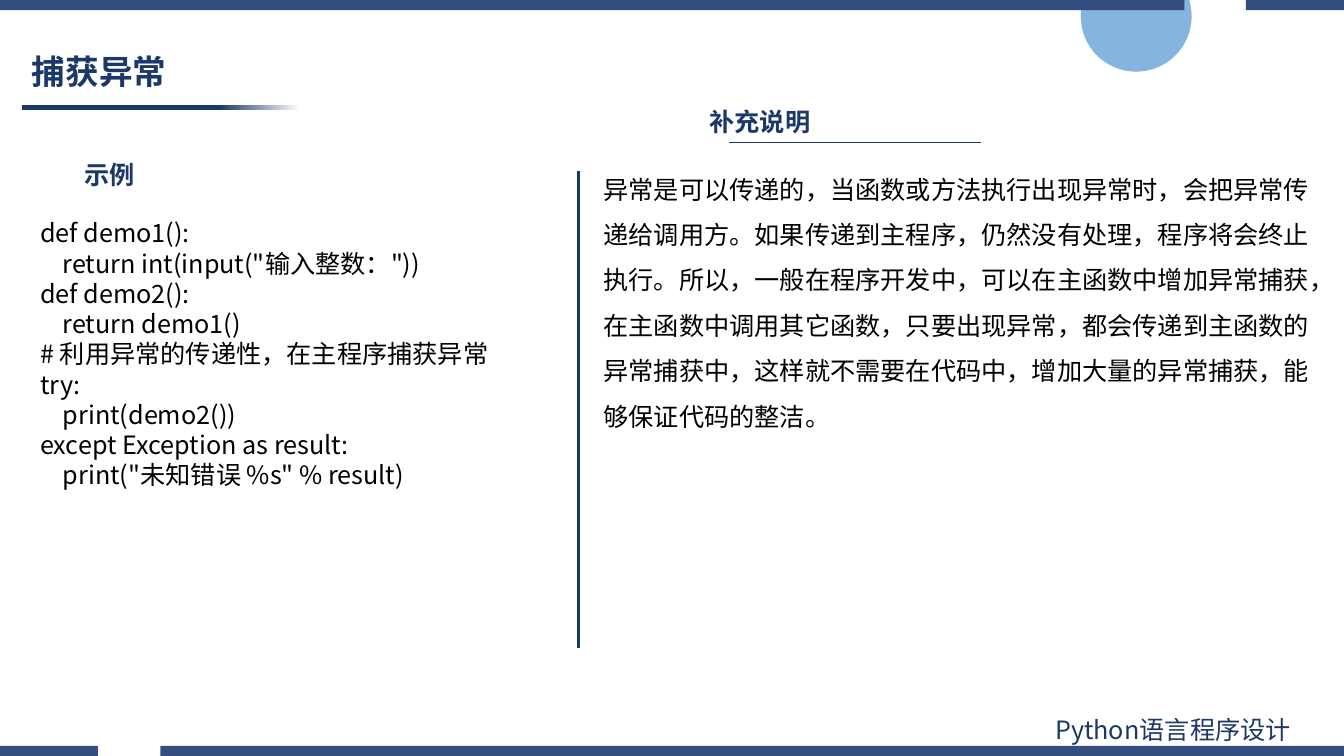
import copy

import pptx
import pptx.dml.color
import pptx.enum.shapes
import pptx.enum.text
import pptx.oxml
import pptx.oxml.ns
import pptx.util

Pt = pptx.util.Pt
FONT = "Noto Sans CJK SC"
COLOURS = {"navy": "1B3868", "bar": "334D80", "circle": "5B9BD5",
           "white": "FFFFFF", "black": "000000"}
WIDTH, HEIGHT, BAR_HEIGHT = 960, 540, 7.2

CODE = [
    "def demo1():",
    '    return int(input("输入整数："))',
    "def demo2():",
    "    return demo1()",
    "# 利用异常的传递性，在主程序捕获异常",
    "try:",
    "    print(demo2())",
    "except Exception as result:",
    '    print("未知错误 %s" % result)',
]
EXPLANATION = (
    "异常是可以传递的，当函数或方法执行出现异常时，会把异常传递给调用方。"
    "如果传递到主程序，仍然没有处理，程序将会终止执行。"
    "所以，一般在程序开发中，可以在主函数中增加异常捕获，"
    "在主函数中调用其它函数，只要出现异常，都会传递到主函数的异常捕获中，"
    "这样就不需要在代码中，增加大量的异常捕获，能够保证代码的整洁。"
)
# lines, (left, top, width, height), size, colour, bold, line spacing
TEXTS = [
    (["Python语言程序设计"], (746.6, 507, 212, 29), 18, "navy", False, 1),
    ([EXPLANATION], (424, 110, 527, 230), 18, "black", False, 1.5),
    (["捕获异常"], (15.8, 32.4, 258, 40), 24, "navy", True, 0.9),
    (["补充说明"], (499.7, 72.7, 245, 29), 18, "navy", True, 1),
    (["示例"], (53.3, 110, 197, 29), 18, "navy", True, 1),
    (CODE, (21.6, 152, 361, 225), 18, "black", False, 1),
]
# start, end, line width
LINES = [((413.3, 122.4), (413.3, 463), 2), ((521, 101.5), (700.6, 101.5), 0.5)]
# top, filled stretches from left to right
BARS = [(HEIGHT - BAR_HEIGHT, [(114.5, WIDTH), (0, 70)]),
        (0, [(0, 846), (890, WIDTH)])]


def rgb(name):
    return pptx.dml.color.RGBColor.from_string(COLOURS[name])


def add_plain_shape(slide, kind, box):
    shape = slide.shapes.add_shape(kind, *map(Pt, box))
    shape.shadow.inherit = False
    shape.line.fill.background()
    return shape


def add_circle(slide):
    circle = add_plain_shape(slide, pptx.enum.shapes.MSO_SHAPE.OVAL, (772, -28, 79.2, 79.2))
    circle.fill.solid()
    circle.fill.fore_color.rgb = rgb("circle")
    colour = circle._element.spPr.find(".//" + pptx.oxml.ns.qn("a:srgbClr"))
    pptx.oxml.ns.qn("a:alpha")
    alpha = colour.makeelement(pptx.oxml.ns.qn("a:alpha"), {"val": "75000"})
    colour.append(alpha)


def add_title_rule(slide):
    """Navy rule under the title that fades to white at its right end."""
    rule = add_plain_shape(slide, pptx.enum.shapes.MSO_SHAPE.RECTANGLE, (15.5, 75.2, 198.7, 3.6))
    rule.fill.gradient()
    rule.fill.gradient_angle = 0
    first, last = rule.fill.gradient_stops
    first.color.rgb, first.position = rgb("navy"), 0
    last.color.rgb, last.position = rgb("white"), 1
    start = rule._element.spPr.find(".//" + pptx.oxml.ns.qn("a:gs"))
    middle = copy.deepcopy(start)
    middle.set("pos", "71000")
    start.addnext(middle)


def add_bar(slide, top, stretches):
    bottom = top + BAR_HEIGHT
    builder = None
    for left, right in stretches:
        if builder is None:
            builder = slide.shapes.build_freeform(Pt(left), Pt(top))
        else:
            builder.move_to(Pt(left), Pt(top))
        corners = [(right, top), (right, bottom), (left, bottom)]
        builder.add_line_segments([(Pt(x), Pt(y)) for x, y in corners], close=True)
    bar = builder.convert_to_shape()
    bar.shadow.inherit = False
    bar.fill.solid()
    bar.fill.fore_color.rgb = rgb("bar")
    bar.line.fill.background()


def add_text(slide, lines, box, size, colour, bold, spacing):
    frame = slide.shapes.add_textbox(*map(Pt, box)).text_frame
    frame.word_wrap = True
    frame.vertical_anchor = (pptx.enum.text.MSO_ANCHOR.MIDDLE if size == 24
                             else pptx.enum.text.MSO_ANCHOR.TOP)
    frame.text = "\n".join(lines)
    for paragraph in frame.paragraphs:
        paragraph.line_spacing = spacing
        font = paragraph.font
        font.name, font.size, font.bold = FONT, Pt(size), bold
        font.color.rgb = rgb(colour)
        latin = paragraph._p.pPr.find(".//" + pptx.oxml.ns.qn("a:latin"))
        latin.addnext(latin.makeelement(pptx.oxml.ns.qn("a:ea"), {"typeface": FONT}))


def add_line(slide, start, end, width):
    line = slide.shapes.add_connector(
        pptx.enum.shapes.MSO_CONNECTOR.STRAIGHT, *map(Pt, start + end))
    line.line.color.rgb = rgb("navy")
    line.line.width = Pt(width)
    properties = line._element.spPr
    properties.append(properties.makeelement(pptx.oxml.ns.qn("a:effectLst"), {}))


def main():
    presentation = pptx.Presentation()
    presentation.slide_width, presentation.slide_height = Pt(WIDTH), Pt(HEIGHT)
    slide = presentation.slides.add_slide(presentation.slide_layouts[6])
    add_circle(slide)
    add_title_rule(slide)
    for bar in BARS:
        add_bar(slide, *bar)
    for text in TEXTS:
        add_text(slide, *text)
    for line in LINES:
        add_line(slide, *line)
    presentation.save("out.pptx")


if __name__ == "__main__":
    main()
